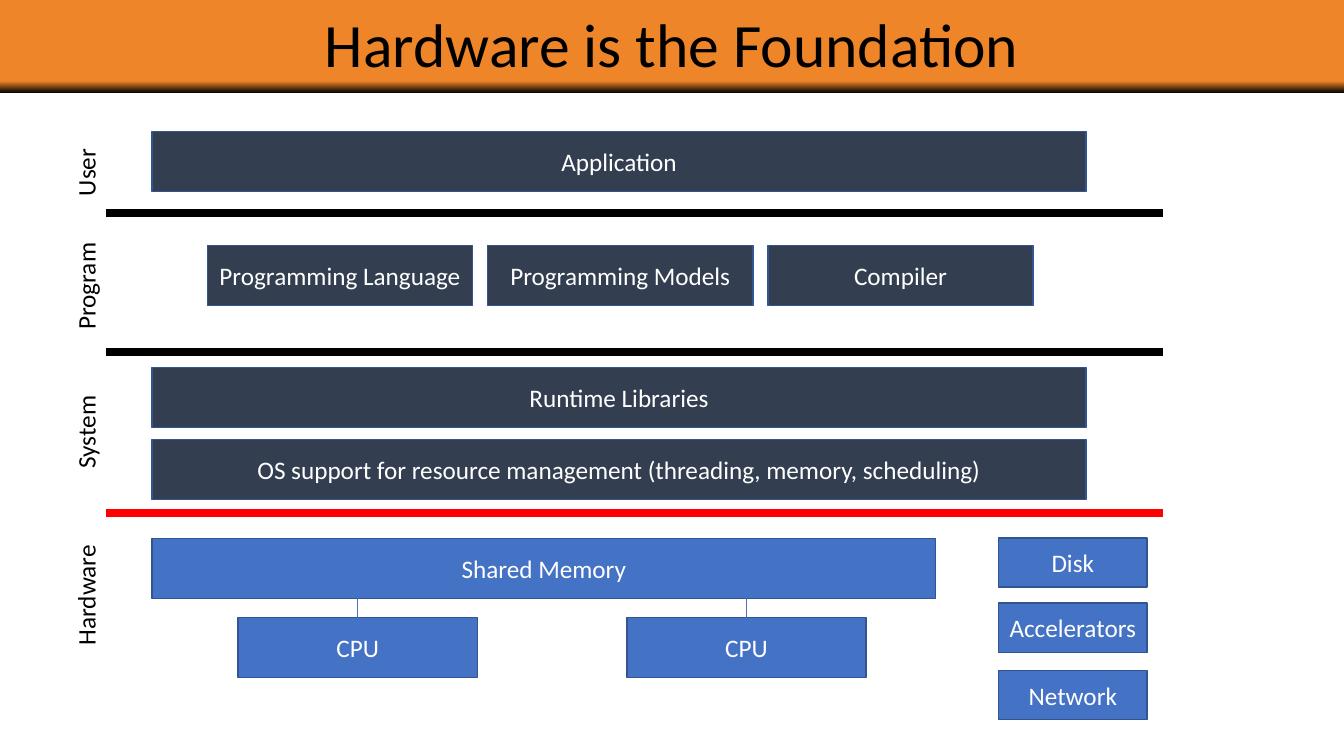
from pptx import Presentation
from pptx.dml import color
from pptx.enum import shapes, text
from pptx.oxml import ns
from pptx.util import Pt
from lxml import etree

BLACK, WHITE, RED = "000000", "FFFFFF", "FF0000"
ORANGE, SLATE, BLUE, EDGE = "EF8529", "333F50", "4472C4", "325491"
MID, LEFT = text.PP_ALIGN.CENTER, text.PP_ALIGN.LEFT


def rgb(code):
    return color.RGBColor.from_string(code)


def assign(item, values):
    for key, value in values.items():
        setattr(item, key, value)


class Deck:
    """Holds the text style and the current slide."""

    def __init__(self, wide, high):
        self.file = Presentation()
        assign(self.file, {"slide_width": Pt(wide), "slide_height": Pt(high)})
        self.slide = self.file.slides.add_slide(self.file.slide_layouts[5])
        self.font = {"name": "Calibri", "size": Pt(18)}

    def letter(self, shape, words, ink, align=MID, **extra):
        frame = shape.text_frame
        assign(frame, {"text": words, "word_wrap": True})
        para = frame.paragraphs[0]
        para.alignment = align
        assign(para.font, {**self.font, **extra})
        para.font.color.rgb = rgb(ink)
        return frame

    def title(self, words, *area):
        shape = self.slide.shapes.title
        assign(shape, dict(zip(("left", "top", "width", "height"), map(Pt, area))))
        frame = self.letter(shape, words, BLACK, size=Pt(44))
        frame.vertical_anchor = text.MSO_ANCHOR.MIDDLE
        frame.paragraphs[0].line_spacing = 0.9

    def rect(self, *area):
        shape = self.slide.shapes.add_shape(
            shapes.MSO_SHAPE.RECTANGLE, *map(Pt, area))
        shape.shadow.inherit = False
        return shape

    def band(self, *area):
        shape = self.rect(*area)
        shape.line.fill.background()
        shape.fill.gradient()
        shape.fill.gradient_angle = 90
        stops = zip(shape.fill.gradient_stops, (0, 0.13), (BLACK, ORANGE))
        for stop, place, code in stops:
            stop.position = place
            stop.color.rgb = rgb(code)
        # Send the band behind the title
        self.slide.shapes._spTree.insert(2, shape._element)

    def box(self, words, fill, *area):
        shape = self.rect(*area)
        shape.fill.solid()
        shape.fill.fore_color.rgb = rgb(fill)
        shape.line.color.rgb = rgb(EDGE)
        shape.line.width = Pt(1)
        frame = self.letter(shape, words, WHITE)
        frame.vertical_anchor = text.MSO_ANCHOR.MIDDLE

    def label(self, words, align, mid, wide, high=29):
        area = (61.2 - wide / 2, mid - high / 2, wide, high)
        shape = self.slide.shapes.add_textbox(*map(Pt, area))
        shape.rotation = 270
        self.letter(shape, words, BLACK, align)

    def line(self, code, width, *ends):
        link = self.slide.shapes.add_connector(
            shapes.MSO_CONNECTOR.STRAIGHT, *map(Pt, ends))
        link.line.color.rgb = rgb(code)
        link.line.width = Pt(width)
        etree.SubElement(link._element.spPr, ns.qn("a:effectLst"))


def main():
    deck = Deck(960, 540)

    # Heading
    deck.band(0, 0, 960, 66.5)
    deck.title("Hardware is the Foundation", 0, 0.7, 960, 66.5)

    # Layer names
    for name, align, mid, wide in (("User", MID, 123.1, 74.2),
                                   ("Program", MID, 204.5, 87.8),
                                   ("System", LEFT, 304.6, 74.2),
                                   ("Hardware", LEFT, 424.1, 87.8)):
        deck.label(name, align, mid, wide)

    # Layer borders
    for y, code in ((152.3, BLACK), (251.3, BLACK), (366.5, RED)):
        deck.line(code, 6, 75.6, y, 830.9, y)

    # Software layers
    left, wide, high = 108.7, 666.9, 42.7
    for words, top in (
            ("Application", 94.1),
            ("Runtime Libraries", 262.6),
            ("OS support for resource management "
             "(threading, memory, scheduling)", 314.1)):
        deck.box(words, SLATE, left, top, wide, high)
    for i, words in enumerate(
            ("Programming Language", "Programming Models", "Compiler")):
        deck.box(words, SLATE, 148.1 + 200.2 * i, 175.5, 189.5, high)

    # Memory and processors
    top, base, core = 384.8, 441.2, 170.8
    deck.box("Shared Memory", BLUE, left, top, 559.6, high)
    for x in (170.1, 447.8):
        deck.box("CPU", BLUE, x, base, core, high)
        deck.line(BLUE, 0.5, x + core / 2, top + high, x + core / 2, base)

    # Devices
    for words, y in (("Disk", 384.2), ("Accelerators", 430.8), ("Network", 478.9)):
        deck.box(words, BLUE, 713.2, y, 106.2, 35.2)

    deck.file.save("out.pptx")


if __name__ == "__main__":
    main()
